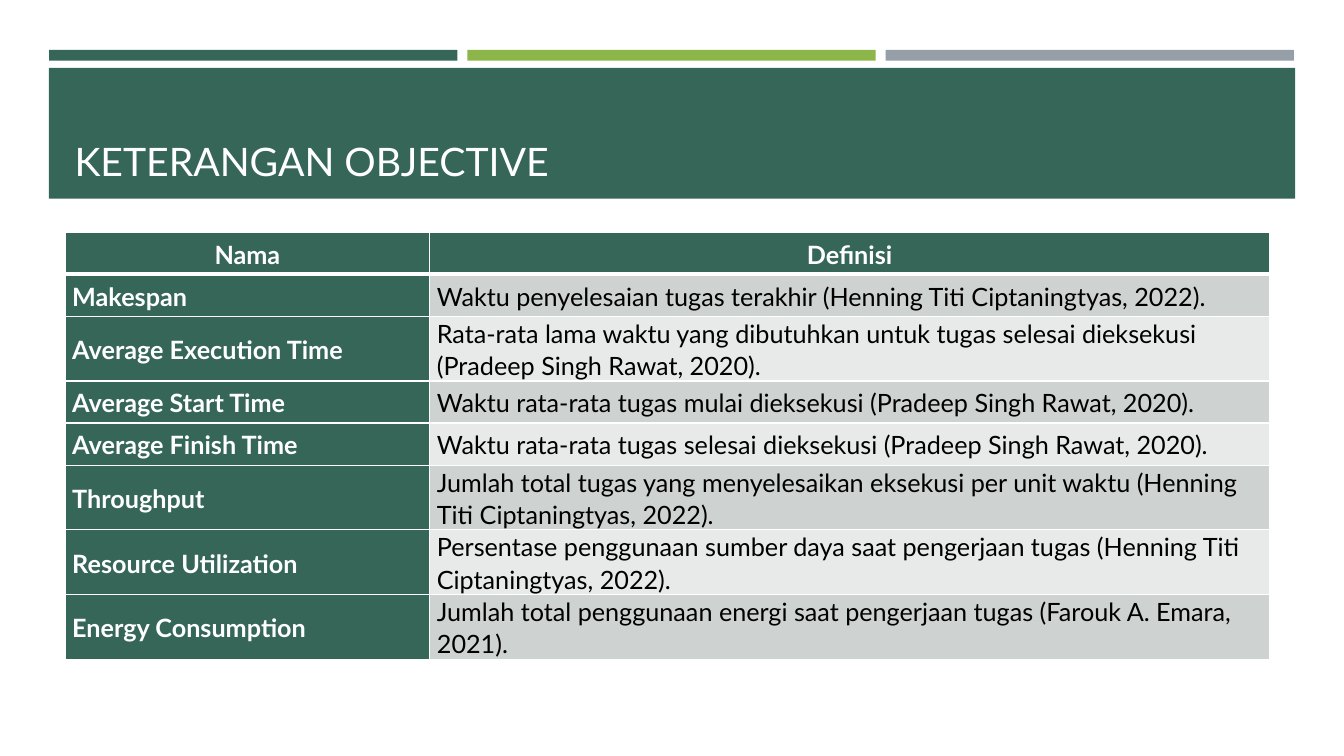
from dataclasses import dataclass

from lxml import etree
from pptx import Presentation
from pptx.dml.color import RGBColor
from pptx.enum import shapes, text
from pptx.oxml import ns
from pptx.util import Cm, Pt

GREEN = RGBColor(0x36, 0x66, 0x58)
LIME = RGBColor(0x8C, 0xB6, 0x4A)
GRAY = RGBColor(0x96, 0x9F, 0xA7)
DARK_BAND = RGBColor(0xCE, 0xD3, 0xD1)
LIGHT_BAND = RGBColor(0xE8, 0xEA, 0xEA)
WHITE = RGBColor(0xFF, 0xFF, 0xFF)
BLACK = RGBColor(0, 0, 0)
FONT = "Lato"


@dataclass(frozen=True)
class Bar:
    left: float
    top: float
    width: float
    height: float
    color: RGBColor


@dataclass(frozen=True)
class Objective:
    name: str
    definition: str
    lines: int = 1


@dataclass(frozen=True)
class CellStyle:
    fill: RGBColor
    color: RGBColor
    bold: bool
    align: text.PP_ALIGN = text.PP_ALIGN.LEFT


HEADING = CellStyle(GREEN, WHITE, True, text.PP_ALIGN.CENTER)
NAME = CellStyle(GREEN, WHITE, True)
DEFINITIONS = (CellStyle(DARK_BAND, BLACK, False), CellStyle(LIGHT_BAND, BLACK, False))

STRIPE_WIDTH, STRIPE_GAP = 10.29, 0.25
BARS = [
    Bar(1.24 + i * (STRIPE_WIDTH + STRIPE_GAP), 1.26, STRIPE_WIDTH, 0.27, color)
    for i, color in enumerate((GREEN, LIME, GRAY))
] + [Bar(1.23, 1.71, 31.41, 3.3, GREEN)]

OBJECTIVES = [
    Objective("Makespan", "Waktu penyelesaian tugas terakhir (Henning Titi Ciptaningtyas, 2022)."),
    Objective("Average Execution Time",
              "Rata-rata lama waktu yang dibutuhkan untuk tugas selesai dieksekusi "
              "(Pradeep Singh Rawat, 2020).", 2),
    Objective("Average Start Time",
              "Waktu rata-rata tugas mulai dieksekusi (Pradeep Singh Rawat, 2020)."),
    Objective("Average Finish Time",
              "Waktu rata-rata tugas selesai dieksekusi (Pradeep Singh Rawat, 2020)."),
    Objective("Throughput",
              "Jumlah total tugas yang menyelesaikan eksekusi per unit waktu "
              "(Henning Titi Ciptaningtyas, 2022).", 2),
    Objective("Resource Utilization",
              "Persentase penggunaan sumber daya saat pengerjaan tugas "
              "(Henning Titi Ciptaningtyas, 2022).", 2),
    Objective("Energy Consumption",
              "Jumlah total penggunaan energi saat pengerjaan tugas (Farouk A. Emara, 2021).", 2),
]
ROW_HEIGHTS = {1: Cm(1.06), 2: Cm(1.63)}


def add_run(paragraph, words: str, size: float, color: RGBColor, bold: bool = False) -> None:
    run = paragraph.add_run()
    run.text = words
    run.font.name = FONT
    run.font.size = Pt(size)
    run.font.bold = bold
    run.font.color.rgb = color


def draw_bar(slide, bar: Bar) -> None:
    rect = slide.shapes.add_shape(shapes.MSO_SHAPE.RECTANGLE, Cm(bar.left), Cm(bar.top),
                                  Cm(bar.width), Cm(bar.height))
    rect.shadow.inherit = False
    rect.fill.solid()
    rect.fill.fore_color.rgb = bar.color
    rect.line.fill.background()


def draw_title(slide, words: str) -> None:
    frame = slide.shapes.add_textbox(Cm(1.63), Cm(1.96), Cm(30.63), Cm(2.82)).text_frame
    frame.word_wrap = True
    frame.vertical_anchor = text.MSO_ANCHOR.BOTTOM
    add_run(frame.paragraphs[0], words, 28, WHITE)


def set_borders(cell, top: float, bottom: float) -> None:
    properties = cell._tc.get_or_add_tcPr()
    for side, width in (("L", 1), ("R", 1), ("T", top), ("B", bottom)):
        line = etree.SubElement(properties, ns.qn(f"a:ln{side}"), w=str(Pt(width)))
        fill = etree.SubElement(line, ns.qn("a:solidFill"))
        etree.SubElement(fill, ns.qn("a:srgbClr"), val=str(WHITE))


def fill_cell(cell, words: str, style: CellStyle, top: float = 1, bottom: float = 1) -> None:
    set_borders(cell, top, bottom)
    cell.fill.solid()
    cell.fill.fore_color.rgb = style.fill
    cell.vertical_anchor = text.MSO_ANCHOR.MIDDLE
    cell.margin_left = cell.margin_right = Cm(0.18)
    cell.margin_top = cell.margin_bottom = 0
    paragraph = cell.text_frame.paragraphs[0]
    paragraph.alignment = style.align
    paragraph.line_spacing = 1.07
    paragraph.space_after = Pt(8)
    add_run(paragraph, words, 18, style.color, style.bold)


def draw_objectives(slide, objectives: list[Objective]) -> None:
    heights = [ROW_HEIGHTS[1]] + [ROW_HEIGHTS[item.lines] for item in objectives]
    table = slide.shapes.add_table(len(heights), 2, Cm(1.64), Cm(5.85),
                                   Cm(30.35), sum(heights)).table
    for column, width in zip(table.columns, (9.19, 21.16)):
        column.width = Cm(width)
    for row, height in zip(table.rows, heights):
        row.height = height
    for column, heading in enumerate(("Nama", "Definisi")):
        fill_cell(table.cell(0, column), heading, HEADING, bottom=3)
    for row, item in enumerate(objectives, start=1):
        top = 3 if row == 1 else 1
        fill_cell(table.cell(row, 0), item.name, NAME, top)
        fill_cell(table.cell(row, 1), item.definition, DEFINITIONS[(row - 1) % 2], top)


deck = Presentation()
deck.slide_width, deck.slide_height = Cm(33.87), Cm(19.05)
objective_slide = deck.slides.add_slide(deck.slide_layouts[6])
for title_bar in BARS:
    draw_bar(objective_slide, title_bar)
draw_title(objective_slide, "KETERANGAN OBJECTIVE")
draw_objectives(objective_slide, OBJECTIVES)
deck.save("out.pptx")
